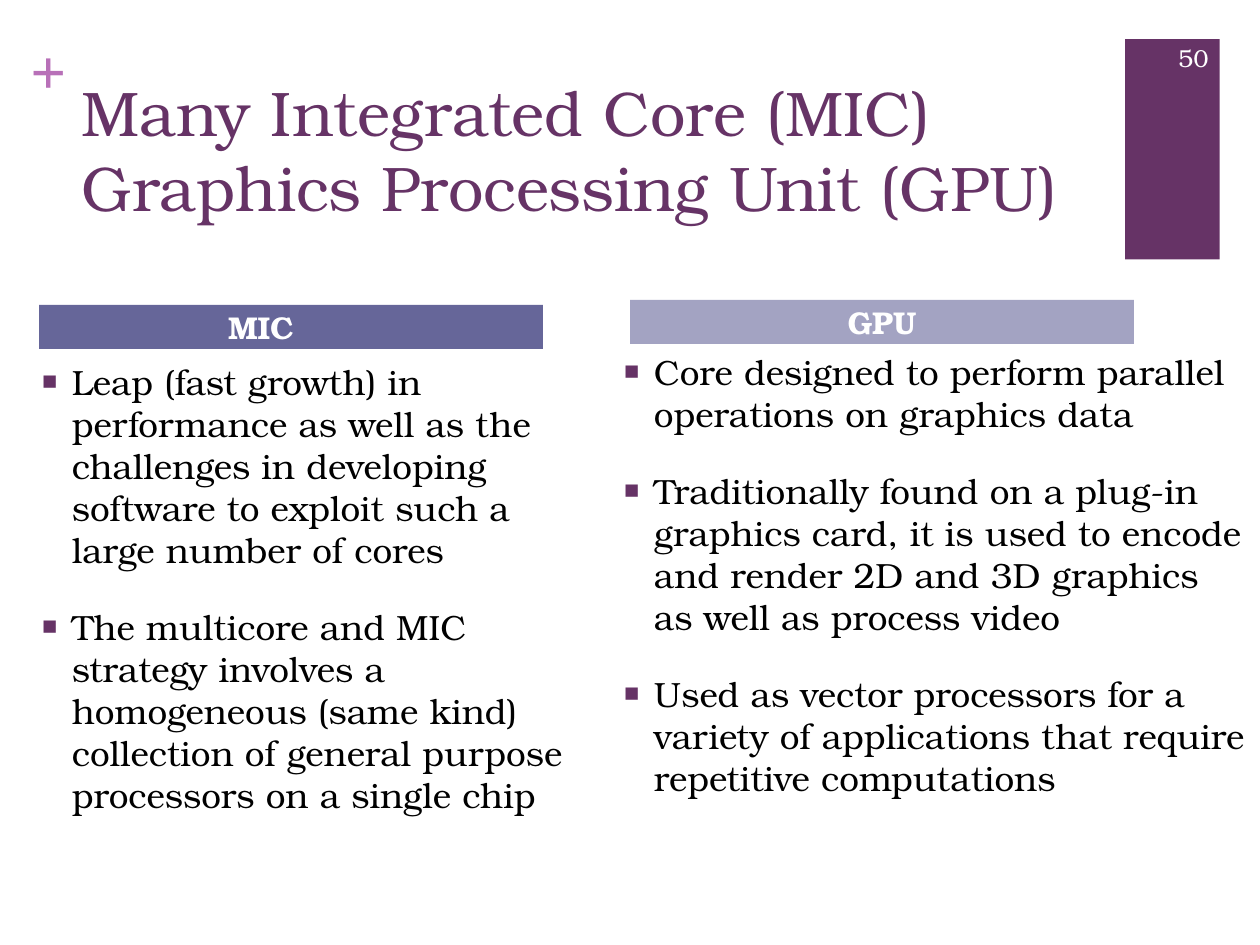
import dataclasses
import typing
import lxml.etree
import pptx
import pptx.dml.color
import pptx.enum.shapes
import pptx.enum.text
import pptx.oxml.ns
import pptx.util

Inches = pptx.util.Inches
Align = pptx.enum.text.PP_ALIGN
Anchor = pptx.enum.text.MSO_ANCHOR
SERIF = "TeX Gyre Bonum"
PLUM = "663366"
WHITE = "FFFFFF"
Box = tuple[float, float, float, float]


@dataclasses.dataclass
class Style:
    """Look of a block of text."""
    size: int
    color: str
    bold: bool = False
    font: str = SERIF
    align: typing.Any = Align.LEFT
    anchor: typing.Any = Anchor.TOP
    inset: Box = (0.1, 0.05, 0.1, 0.05)


@dataclasses.dataclass
class Column:
    """A heading bar with its bullet list."""
    head: str
    fill: str
    bar: Box
    body: Box
    items: list[str]


COLUMNS = [
    Column("MIC\t", "666699", (0.31, 2.42, 4, 0.35), (0.22, 2.81, 4.54, 3.67), [
        "Leap (fast growth) in performance as well as the challenges in "
        "developing software to exploit such a large number of cores",
        "The multicore and MIC strategy involves a homogeneous (same kind) "
        "collection of general purpose processors on a single chip",
    ]),
    Column("GPU", "A3A3C2", (5, 2.38, 4, 0.35), (4.84, 2.73, 5.16, 3.83), [
        "Core designed to perform parallel operations on graphics data",
        "Traditionally found on a plug-in graphics card, it is used to encode "
        "and render 2D and 3D graphics as well as process video",
        "Used as vector processors for a variety of applications that require "
        "repetitive computations",
    ]),
]
TITLE = Style(36, PLUM)
HEAD = Style(18, WHITE, True, align=Align.CENTER, anchor=Anchor.MIDDLE,
             inset=(0.1, 0, 0.1, 0))
LIST = Style(20, "000000")
PLUS = Style(36, "B870B8", True, "Times New Roman", inset=(0, 0, 0, 0))
PAGE = Style(14, WHITE, align=Align.RIGHT, anchor=Anchor.MIDDLE)


def paint(target: typing.Any, color: str) -> None:
    """Give a fill or font a solid hex colour."""
    if hasattr(target, "solid"):
        target.solid()
        target.fore_color.rgb = pptx.dml.color.RGBColor.from_string(color)
    else:
        target.color.rgb = pptx.dml.color.RGBColor.from_string(color)


def place(shape: typing.Any, box: Box) -> None:
    """Move and size a shape."""
    shape.left, shape.top, shape.width, shape.height = map(Inches, box)


def write(shape: typing.Any, text: str, style: Style) -> None:
    """Fill a shape with styled text."""
    frame = shape.text_frame
    frame.text = text
    frame.word_wrap = True
    frame.auto_size = pptx.enum.text.MSO_AUTO_SIZE.NONE
    frame.vertical_anchor = style.anchor
    (frame.margin_left, frame.margin_top,
     frame.margin_right, frame.margin_bottom) = map(Inches, style.inset)
    for para in frame.paragraphs:
        para.alignment = style.align
        para.space_before = pptx.util.Pt(0)
        for run in para.runs:
            run.font.size = pptx.util.Pt(style.size)
            run.font.name = style.font
            run.font.bold = style.bold
            paint(run.font, style.color)


def bullet(para: typing.Any) -> None:
    """Add a hanging square bullet to a paragraph."""
    para.space_before = pptx.util.Pt(20)
    props = para._p.get_or_add_pPr()
    props.set("marL", str(Inches(0.25)))
    props.set("indent", str(Inches(-0.25)))
    qn = pptx.oxml.ns.qn
    tint = lxml.etree.SubElement(props, qn("a:buClr"))
    lxml.etree.SubElement(tint, qn("a:srgbClr"), val=PLUM)
    lxml.etree.SubElement(props, qn("a:buSzPct"), val="75000")
    lxml.etree.SubElement(props, qn("a:buFont"), typeface=SERIF)
    lxml.etree.SubElement(props, qn("a:buChar"), char="■")


def label(slide: typing.Any, box: Box, text: str, style: Style) -> None:
    """Add a text box."""
    write(slide.shapes.add_textbox(*map(Inches, box)), text, style)


def draw(slide: typing.Any, column: Column, index: int) -> None:
    """Fill one column of the comparison layout."""
    bar, body = slide.placeholders[index], slide.placeholders[index + 1]
    place(bar, column.bar)
    paint(bar.fill, column.fill)
    write(bar, column.head, HEAD)
    place(body, column.body)
    write(body, "\n".join(column.items), LIST)
    for para in body.text_frame.paragraphs:
        bullet(para)


def main() -> None:
    """Build and save the slide."""
    deck = pptx.Presentation()
    deck.slide_width, deck.slide_height = Inches(10), Inches(7.5)
    slide = deck.slides.add_slide(deck.slide_layouts.get_by_name("Comparison"))
    block = slide.shapes.add_shape(
        pptx.enum.shapes.MSO_SHAPE.RECTANGLE,
        *map(Inches, (8.93, 0.31, 0.75, 1.75)))
    block.shadow.inherit = False
    block.line.fill.background()
    paint(block.fill, PLUM)
    label(slide, (0.24, 0.25, 0.29, 0.61), "+", PLUS)
    title = slide.shapes.title
    place(title, (0.55, 0.53, 8.26, 1.47))
    write(title, "Many Integrated Core (MIC)\vGraphics Processing Unit (GPU)", TITLE)
    for index, column in zip((1, 3), COLUMNS):
        draw(slide, column, index)
    label(slide, (9.08, 0.26, 0.61, 0.4), "50", PAGE)
    deck.save("out.pptx")


if __name__ == "__main__":
    main()
